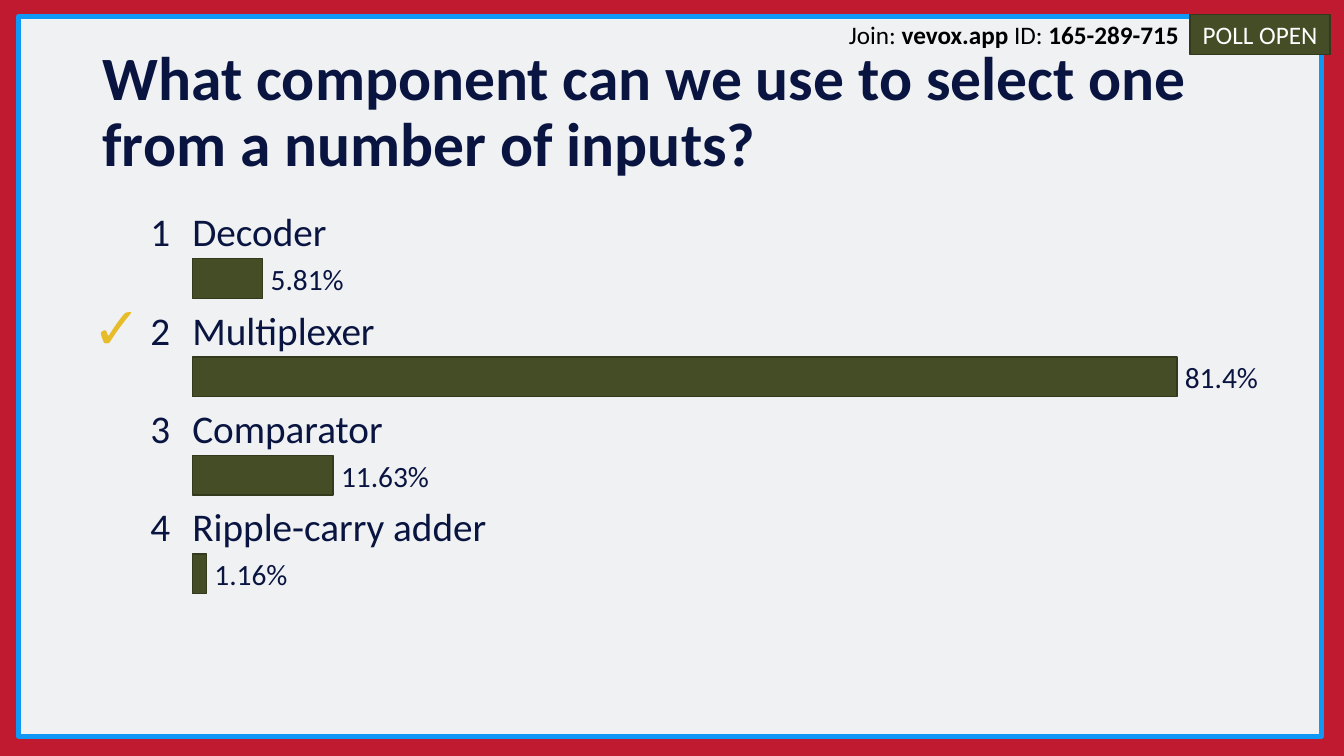
import pptx
import pptx.util
import pptx.dml.color
import pptx.enum.shapes
import pptx.enum.text
import pptx.oxml
import pptx.oxml.ns

Cm = pptx.util.Cm
Pt = pptx.util.Pt
Align = pptx.enum.text.PP_ALIGN
Anchor = pptx.enum.text.MSO_ANCHOR
Fit = pptx.enum.text.MSO_AUTO_SIZE

HUES = {
    "red": "BF1A2F", "pale": "EFF1F3", "blue": "1098F7", "navy": "091540",
    "olive": "444D26", "moss": "32391C", "gold": "E7BC29",
    "black": "000000", "white": "FFFFFF", "halo": "FEFEFE",
}


def color(name):
    return pptx.dml.color.RGBColor.from_string(HUES[name])


class Poll:
    """Style and current slide of a poll result."""

    font = "Calibri"

    def __init__(self, deck):
        self.slide = deck.slides.add_slide(deck.slide_layouts[5])
        fill = self.slide.background.fill
        fill.solid()
        fill.fore_color.rgb = color("red")

    def run(self, para, text, size, hue, bold=False, font=None):
        run = para.add_run()
        run.text = text
        run.font.size = Pt(size)
        run.font.name = font or self.font
        run.font.bold = bold
        run.font.color.rgb = color(hue)
        return run

    def title(self, text, box):
        head = self.slide.shapes.title
        head.left, head.top, head.width, head.height = map(Cm, box)
        frame = head.text_frame
        frame.word_wrap = True
        frame.auto_size = Fit.NONE
        frame.vertical_anchor = Anchor.MIDDLE
        para = frame.paragraphs[0]
        para.alignment = Align.LEFT
        para.line_spacing = 0.9
        self.run(para, text, 44, "navy", True)

    def rect(self, box, fill, line, width):
        kind = pptx.enum.shapes.MSO_SHAPE.RECTANGLE
        shape = self.slide.shapes.add_shape(kind, *map(Cm, box))
        shape.shadow.inherit = False
        shape.fill.solid()
        shape.fill.fore_color.rgb = color(fill)
        shape.line.color.rgb = color(line)
        shape.line.width = Pt(width)
        return shape

    def border(self, box):
        shape = self.rect(box, "pale", "blue", 3.5)
        self.slide.shapes.title.element.addprevious(shape.element)

    def badge(self, text, box):
        para = self.rect(box, "olive", "moss", 1).text_frame.paragraphs[0]
        para.alignment = Align.CENTER
        self.run(para, text, 18, "white")

    def text(self, box, pad=(0, 0, 0, 0), align=Align.LEFT, wrap=False):
        frame = self.slide.shapes.add_textbox(*map(Cm, box)).text_frame
        frame.word_wrap = wrap
        frame.auto_size = Fit.SHAPE_TO_FIT_TEXT
        (frame.margin_left, frame.margin_top,
         frame.margin_right, frame.margin_bottom) = map(Cm, pad)
        para = frame.paragraphs[0]
        para.alignment = align
        return para

    def join(self, parts, box):
        para = self.text(box, (0.25, 0.13, 0.25, 0.13), Align.CENTER)
        for text, bold in parts:
            self.run(para, text, 18, "black", bold)

    def tick(self, box):
        run = self.run(self.text(box), "✓", 42, "gold", True, "Arial")
        line = pptx.oxml.parse_xml(
            f'<a:ln {pptx.oxml.ns.nsdecls("a")} w="{Pt(1.5)}"><a:solidFill>'
            f'<a:srgbClr val="{HUES["halo"]}"/></a:solidFill></a:ln>')
        run.font._element.insert(0, line)

    def choice(self, num, name, share, top, wide):
        left = 4.85
        para = self.text((3.5, top, 1.35, 1.35), (0.25, 0.15, 0.56, 0), Align.RIGHT)
        self.run(para, str(num), 28, "navy")
        para = self.text((left, top, 26.7, 1.42), (0, 0.15, 0, 0.08), wrap=True)
        self.run(para, name, 28, "navy")
        label = f"{share}%"
        box = (left + wide, top + 1.5, 0.36 * len(label) + 0.3, 0.89)
        self.run(self.text(box, (0.2, 0, 0, 0)), label, 21, "navy")
        self.rect((left, top + 1.44, wide, 1), "olive", "moss", 1)


def main():
    deck = pptx.Presentation()
    deck.slide_width, deck.slide_height = Cm(33.87), Cm(19.05)
    poll = Poll(deck)
    poll.title("What component can we use to select one from a number of inputs?",
               (2.33, 1.02, 29.21, 3.68))
    poll.border((0.47, 0.41, 32.84, 18.14))
    poll.join([("Join: ", False), ("vevox.app", True),
               (" ID: ", False), ("165-289-715", True)], (21.09, 0.36, 8.92, 1.02))
    poll.badge("POLL OPEN", (29.99, 0.36, 3.53, 1.02))
    poll.tick((2.34, 7.32, 1.17, 1.8))

    votes = [("Decoder", 5.81), ("Multiplexer", 81.4),
             ("Comparator", 11.63), ("Ripple-carry adder", 1.16)]
    most = max(share for _, share in votes)
    for row, (name, share) in enumerate(votes):
        poll.choice(row + 1, name, share, 5.08 + 2.48 * row, 24.81 * share / most)
    deck.save("out.pptx")


if __name__ == "__main__":
    main()
